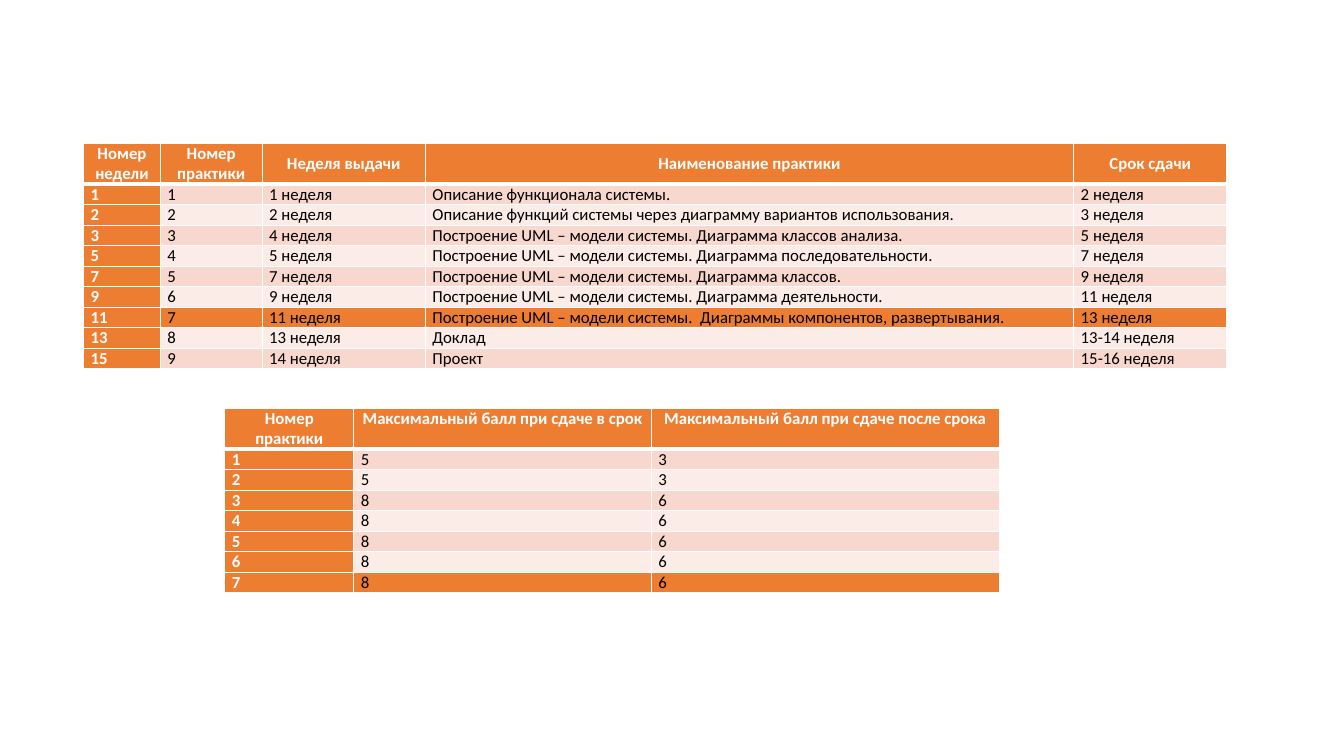
from lxml import etree
from pptx import Presentation
from pptx.dml.color import RGBColor
from pptx.enum.text import MSO_ANCHOR, PP_ALIGN
from pptx.oxml.ns import qn
from pptx.util import Inches, Pt

CENTER, JUSTIFY = PP_ALIGN.CENTER, PP_ALIGN.JUSTIFY
TOP, MIDDLE = MSO_ANCHOR.TOP, MSO_ANCHOR.MIDDLE

COLORS = {"head": "ED7D31", "odd": "F8D7CE", "even": "FCECE8",
          "white": "FFFFFF", "black": "000000"}
FONT, SIZE = "Calibri", 12
HEAD_H, ROW_H = 0.4, 0.2
MARKED = 7  # row filled with the header colour in both tables

UML = "Построение UML – модели системы. "
PLAN = [
    ("Номер недели", "Номер практики", "Неделя выдачи",
     "Наименование практики", "Срок сдачи"),
    ("1", "1", "1 неделя", "Описание функционала системы.", "2 неделя"),
    ("2", "2", "2 неделя",
     "Описание функций системы через диаграмму вариантов использования.",
     "3 неделя"),
    ("3", "3", "4 неделя", UML + "Диаграмма классов анализа.", "5 неделя"),
    ("5", "4", "5 неделя", UML + "Диаграмма последовательности.", "7 неделя"),
    ("7", "5", "7 неделя", UML + "Диаграмма классов.", "9 неделя"),
    ("9", "6", "9 неделя", UML + "Диаграмма деятельности.", "11 неделя"),
    ("11", "7", "11 неделя",
     UML + " Диаграммы компонентов, развертывания.", "13 неделя"),
    ("13", "8", "13 неделя", "Доклад", "13-14 неделя"),
    ("15", "9", "14 неделя", "Проект", "15-16 неделя"),
]
SCORES = [
    ("Номер практики", "Максимальный балл при сдаче в срок",
     "Максимальный балл при сдаче после срока"),
    ("1", "5", "3"),
    ("2", "5", "3"),
    ("3", "8", "6"),
    ("4", "8", "6"),
    ("5", "8", "6"),
    ("6", "8", "6"),
    ("7", "8", "6"),
]
# rows, left, top, column widths, header anchor
TABLES = [
    (PLAN, 0.83, 1.42, (0.76, 1.01, 1.62, 6.43, 1.52), MIDDLE),
    (SCORES, 2.23, 4.05, (1.28, 2.95, 3.45), TOP),
]


def rgb(name):
    return RGBColor.from_string(COLORS[name])


def set_edges(cell, row):
    """White lines, thick between the header and the body."""
    props = cell._tc.get_or_add_tcPr()
    thick = {"T": row == 1, "B": row == 0}
    for side in "LRTB":
        width = Pt(3 if thick.get(side) else 1)
        line = etree.SubElement(props, qn("a:ln" + side), w=str(width))
        fill = etree.SubElement(line, qn("a:solidFill"))
        etree.SubElement(fill, qn("a:srgbClr"), val=COLORS["white"])


def fill_cell(cell, text, row, col, anchor):
    strong = row == 0 or col == 0
    set_edges(cell, row)
    if strong or row == MARKED:
        shade = "head"
    else:
        shade = "odd" if row % 2 else "even"
    cell.fill.solid()
    cell.fill.fore_color.rgb = rgb(shade)
    cell.margin_left = cell.margin_right = Inches(0.07)
    cell.margin_top = cell.margin_bottom = 0
    cell.vertical_anchor = TOP if row else anchor

    para = cell.text_frame.paragraphs[0]
    para.alignment = JUSTIFY if row else CENTER
    run = para.add_run()
    run.text = text
    run.font.name, run.font.size = FONT, Pt(SIZE)
    run.font.bold = strong
    run.font.color.rgb = rgb("white" if strong else "black")


def add_grid(slide, rows, left, top, widths, anchor):
    height = HEAD_H + ROW_H * (len(rows) - 1)
    table = slide.shapes.add_table(
        len(rows), len(widths), Inches(left), Inches(top),
        Inches(sum(widths)), Inches(height)).table
    table.first_col = True
    for col, width in enumerate(widths):
        table.columns[col].width = Inches(width)
    for row, texts in enumerate(rows):
        table.rows[row].height = Inches(ROW_H if row else HEAD_H)
        for col, text in enumerate(texts):
            fill_cell(table.cell(row, col), text, row, col, anchor)


def main():
    deck = Presentation()
    deck.slide_width, deck.slide_height = Inches(13.33), Inches(7.5)
    slide = deck.slides.add_slide(deck.slide_layouts[6])
    for grid in TABLES:
        add_grid(slide, *grid)
    deck.save("out.pptx")


if __name__ == "__main__":
    main()
